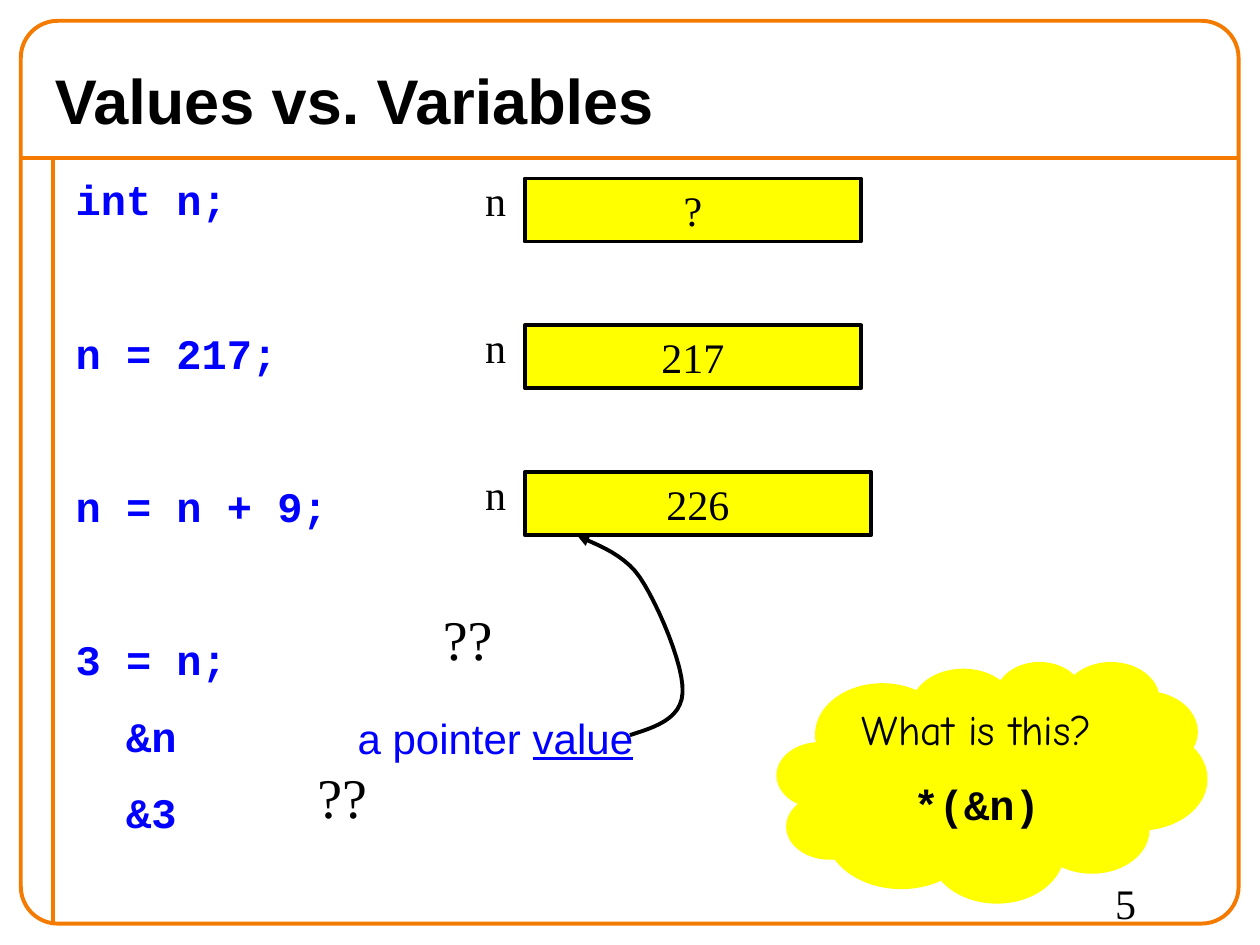
from lxml import etree
from pptx import Presentation
from pptx.dml.color import RGBColor
from pptx.enum import shapes, text
from pptx.oxml.ns import qn
from pptx.util import Cm, Pt

COLORS = {"frame": "F47A00", "code": "0000FF", "ink": "000000", "fill": "FFFF00"}
SERIF, SANS, MONO, COMIC = "Times New Roman", "Arial", "Courier New", "Comic Neue"


def rgb(name):
    return RGBColor.from_string(COLORS[name])


def add_run(p, content, font=SERIF, size=24, color="ink", bold=False, underline=False):
    r = p.add_run()
    r.text = content
    r.font.name, r.font.size = font, Pt(size)
    r.font.bold, r.font.underline = bold, underline
    r.font.color.rgb = rgb(color)
    return r


def bezier(p0, p1, p2, p3, steps=12):
    """Points along a cubic curve, without its start."""
    for i in range(1, steps + 1):
        t = i / steps
        yield tuple((1 - t) ** 3 * a + 3 * t * (1 - t) ** 2 * b
                    + 3 * t ** 2 * (1 - t) * c + t ** 3 * d
                    for a, b, c, d in zip(p0, p1, p2, p3))


class SlideBuilder:
    line_width = Pt(2.25)

    def __init__(self, slide):
        self.s = slide

    def outline(self, sp, color):
        sp.line.color.rgb = rgb(color)
        sp.line.width = self.line_width

    def place(self, sp, x, y, w, h):
        sp.left, sp.top, sp.width, sp.height = Cm(x), Cm(y), Cm(w), Cm(h)
        tf = sp.text_frame
        tf.auto_size = text.MSO_AUTO_SIZE.NONE
        return tf

    def line(self, x1, y1, x2, y2):
        sp = self.s.shapes.add_connector(
            shapes.MSO_CONNECTOR.STRAIGHT, Cm(x1), Cm(y1), Cm(x2), Cm(y2))
        self.outline(sp, "frame")
        etree.SubElement(sp._element.spPr, qn("a:effectLst"))

    def shape(self, kind, x, y, w, h, fill=None, line=None):
        sp = self.s.shapes.add_shape(kind, Cm(x), Cm(y), Cm(w), Cm(h))
        sp.shadow.inherit = False
        if fill:
            sp.fill.solid()
            sp.fill.fore_color.rgb = rgb(fill)
        else:
            sp.fill.background()
        if line:
            self.outline(sp, line)
        else:
            sp.line.fill.background()
        return sp

    def label(self, content, x, y, w, h, **fmt):
        sp = self.s.shapes.add_textbox(Cm(x), Cm(y), Cm(w), Cm(h))
        sp.text_frame.word_wrap = False
        p = sp.text_frame.paragraphs[0]
        add_run(p, content, **fmt)
        return p

    def variable(self, value, x, y, w):
        self.label("n", x - 1.05, y - 0.21, 0.91, 1.27)
        sp = self.shape(shapes.MSO_SHAPE.RECTANGLE, x, y, w, 1.27, "fill", "ink")
        sp.text_frame.word_wrap = False
        p = sp.text_frame.paragraphs[0]
        p.alignment = text.PP_ALIGN.CENTER
        add_run(p, value)

    def title(self, content, *box):
        tf = self.place(self.s.shapes.title, *box)
        tf.vertical_anchor = text.MSO_ANCHOR.MIDDLE
        p = tf.paragraphs[0]
        p.alignment = text.PP_ALIGN.LEFT
        add_run(p, content, font=SANS, size=36, bold=True)

    def code(self, rows, *box):
        """Each row: gap before in points, indent in cm, code."""
        tf = self.place(self.s.placeholders[1], *box)
        for i, (gap, indent, code) in enumerate(rows):
            p = tf.add_paragraph() if i else tf.paragraphs[0]
            p.space_before = Pt(gap)
            pPr = p._p.get_or_add_pPr()
            pPr.set("marL", str(Cm(indent)))
            pPr.set("indent", "0")
            etree.SubElement(pPr, qn("a:buNone"))
            add_run(p, code, font=MONO, color="code", bold=True)

    def curved_arrow(self, start, *segments):
        points = []
        last = start
        for seg in segments:
            points += bezier(last, *seg)
            last = seg[-1]
        fb = self.s.shapes.build_freeform(Cm(start[0]), Cm(start[1]))
        fb.add_line_segments([(Cm(x), Cm(y)) for x, y in points], close=False)
        sp = fb.convert_to_shape()
        sp.shadow.inherit = False
        sp.fill.background()
        self.outline(sp, "ink")
        etree.SubElement(sp.line._get_or_add_ln(), qn("a:tailEnd"), type="triangle")

    def cloud(self, question, code, *box):
        sp = self.shape(shapes.MSO_SHAPE.CLOUD_CALLOUT, *box, fill="fill")
        sp.adjustments[0], sp.adjustments[1] = -0.207, -0.038
        tf = sp.text_frame
        tf.vertical_anchor = text.MSO_ANCHOR.TOP
        p = tf.paragraphs[0]
        add_run(p, question, font=COMIC)
        p.alignment = text.PP_ALIGN.CENTER
        p = tf.add_paragraph()
        p.alignment = text.PP_ALIGN.CENTER
        p.space_before = Pt(14)
        add_run(p, code, font=MONO, bold=True)


def main():
    prs = Presentation()
    prs.slide_width, prs.slide_height = Cm(25.4), Cm(19.05)
    b = SlideBuilder(prs.slides.add_slide(prs.slide_layouts[1]))

    # Frame and rules
    b.line(0.42, 3.18, 24.98, 3.18)
    b.line(1.06, 3.18, 1.06, 18.63)
    frame = b.shape(shapes.MSO_SHAPE.ROUNDED_RECTANGLE, 0.42, 0.42, 24.55, 18.2, line="frame")
    frame.adjustments[0] = 0.041

    # Title and code
    b.title("Values vs. Variables", 0.85, 1.06, 23.7, 1.9)
    wide, narrow = 58.7, 15
    b.code([
        (0, 0, "int n;"),
        (wide, 0, "n = 217;"),
        (wide, 0, "n = n + 9;"),
        (wide, 0, "3 = n;"),
        (narrow, 1.02, "&n"),
        (narrow, 1.02, "&3"),
    ], 1.27, 3.38, 23.5, 14.6)

    # Note beside &n
    note = {"font": SANS, "color": "code"}
    p = b.label("a pointer ", 6.96, 14.23, 6.4, 1.27, **note)
    add_run(p, "value", underline=True, **note)

    # Variable n after each statement
    for i, (value, width) in enumerate([("?", 6.78), ("217", 6.78), ("226", 6.98)]):
        b.variable(value, 10.58, 3.6 + i * 2.96, width)

    # Doubtful statements
    for x, y in [(8.68, 12.06), (6.15, 15.24)]:
        b.label("??", x, y, 1.6, 1.61, size=32)

    # Pointer from the value to the variable
    b.curved_arrow((12.7, 14.82),
                   ((13.2, 14.66), (13.73, 14.5), (13.76, 13.97)),
                   ((13.8, 13.44), (13.26, 12.17), (12.9, 11.64)),
                   ((12.55, 11.11), (11.8, 10.9), (11.64, 10.8)))

    # Question cloud and page number
    b.cloud("What is this?", "*(&n)", 15.66, 13.33, 8.68, 4.87)
    b.label("5", 22.23, 17.57, 2.54, 1.27)

    prs.save("out.pptx")


if __name__ == "__main__":
    main()
